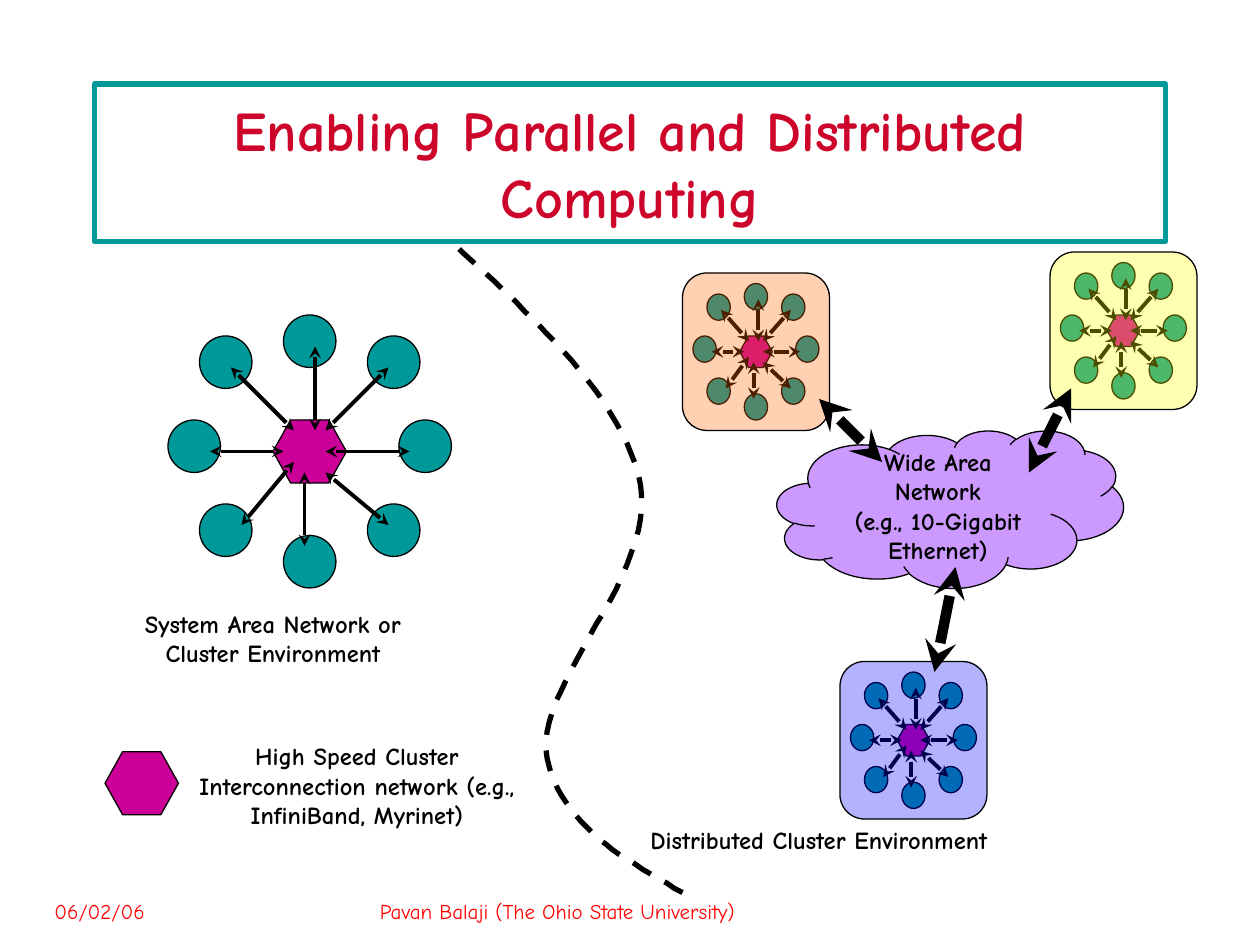
from pptx import Presentation
from pptx import util as u
from pptx.dml import color
from pptx.enum import dml, shapes, text
from pptx.oxml import ns, xmlchemy

PX = 7620
FONT = "Comic Neue"
INK = {"teal": "009999", "title": "CD052B", "foot": "FF0000", "black": "000000",
       "white": "FFFFFF", "hub": "CC0099", "cloud": "CC99FF",
       "orange": "FF6600", "yellow": "FFFF00", "blue": "0000FF"}
KIND = shapes.MSO_SHAPE
MID = text.PP_ALIGN.CENTER

NODES = [(30, 20), (110, 0), (190, 20), (220, 100), (190, 180),
         (0, 100), (30, 180), (110, 210)]
SPOKES = [(150, 110, 210, 50), (150, 130, 230, 130), (150, 150, 210, 200),
          (130, 150, 130, 220), (120, 140, 70, 200), (110, 130, 40, 130),
          (120, 110, 60, 50), (140, 110, 140, 30)]
SITES = [(660, 270, "orange"), (1010, 250, "yellow"), (810, 640, "blue")]
LINKS = [(910, 540, 890, 640), (780, 380, 840, 440), (1020, 370, 980, 450)]
CURVE = [(650, 850), (588, 815), (527, 779), (520, 714), (514, 649),
         (625, 544), (610, 462), (595, 382), (512, 306), (430, 230)]
LABELS = [((590, 780, 380, 68), "Distributed Cluster Environment"),
          ((160, 700, 360, 96), "High Speed Cluster Interconnection network "
                                "(e.g., InfiniBand, Myrinet)"),
          ((100, 574, 320, 68), "System Area Network or Cluster Environment")]
FEET = [((40, 850, 280, 40), "06/02/06"),
        ((350, 850, 500, 40), "Pavan Balaji (The Ohio State University)")]


def px(*nums):
    return [u.Emu(round(n * PX)) for n in nums]


def rgb(name):
    return color.RGBColor.from_string(INK[name])


def bend(pts, steps=24):
    for i in range(0, len(pts) - 1, 3):
        for k in range(1, steps + 1):
            t = k / steps
            parts = ((1 - t) ** 3, 3 * t * (1 - t) ** 2, 3 * t * t * (1 - t), t ** 3)
            yield tuple(sum(w * p[axis] for w, p in zip(parts, pts[i:i + 4]))
                        for axis in (0, 1))


class Board:
    """Holds the style and the current slide, and draws each kind of element."""

    def __init__(self, slide):
        self.slide = slide
        self.pen = slide.shapes

    def words(self, frame, lines, size, ink, bold=True, align=MID):
        frame.word_wrap = True
        for i, line in enumerate(lines):
            para = frame.paragraphs[0] if i == 0 else frame.add_paragraph()
            para.alignment = align
            run = para.add_run()
            run.text = line
            font = run.font
            font.name, font.size, font.bold = FONT, u.Pt(size), bold
            font.color.rgb = rgb(ink)

    def paint(self, item, ink):
        item.fill.solid()
        item.fill.fore_color.rgb = rgb(ink)

    def stroke(self, item, width, ink="black"):
        item.line.color.rgb = rgb(ink)
        item.line.width = u.Pt(width)

    def title(self, box, line):
        item = self.slide.shapes.title
        item.left, item.top, item.width, item.height = px(*box)
        self.paint(item, "white")
        self.stroke(item, 3, "teal")
        frame = item.text_frame
        frame.auto_size = text.MSO_AUTO_SIZE.NONE
        frame.vertical_anchor = text.MSO_ANCHOR.MIDDLE
        self.words(frame, [line], 32, "title")

    def label(self, box, line, size=14, ink="black", bold=True, align=MID):
        frame = self.pen.add_textbox(*px(*box)).text_frame
        self.words(frame, [line], size, ink, bold, align)

    def shape(self, kind, box, ink, alpha=None):
        item = self.pen.add_shape(kind, *px(*box))
        item.shadow.inherit = False
        self.paint(item, ink)
        self.stroke(item, 0.75)
        if alpha:
            mark = xmlchemy.OxmlElement("a:alpha")
            mark.set("val", str(alpha * 1000))
            item._element.spPr.find(".//" + ns.qn("a:srgbClr")).append(mark)
        return item

    def hub(self, box):
        self.shape(KIND.HEXAGON, box, "hub").adjustments[0] = 0.28

    def arrow(self, ends, width=2.25):
        item = self.pen.add_connector(shapes.MSO_CONNECTOR.STRAIGHT, *px(*ends))
        self.stroke(item, width)
        for tag in ("a:headEnd", "a:tailEnd"):
            tip = xmlchemy.OxmlElement(tag)
            tip.set("type", "stealth")
            item.get_or_add_ln().append(tip)
        item._element.spPr.append(xmlchemy.OxmlElement("a:effectLst"))

    def star(self, x, y, wide=1, high=1):
        def fit(a, b, c, d):
            return x + a * wide, y + b * high, c * wide, d * high

        self.pen = self.slide.shapes.add_group_shape().shapes
        self.hub(fit(100, 100, 70, 60))
        for left, top in NODES:
            self.shape(KIND.OVAL, fit(left, top, 50, 50), "teal")
        for a, b, c, d in SPOKES:
            self.arrow((x + a * wide, y + b * high, x + c * wide, y + d * high))
        self.pen = self.slide.shapes

    def site(self, x, y, ink):
        self.star(x, y, 4 / 9, 1 / 2)
        self.shape(KIND.ROUNDED_RECTANGLE, (x - 10, y - 10, 140, 150), ink, 30)

    def cloud(self, box, lines):
        frame = self.shape(KIND.CLOUD, box, "cloud").text_frame
        frame.margin_left, frame.margin_right = px(15, 15)
        frame.vertical_anchor = text.MSO_ANCHOR.MIDDLE
        self.words(frame, lines, 14, "black")

    def wave(self, pts):
        trail = self.pen.build_freeform(*pts[0], scale=PX)
        trail.add_line_segments(list(bend(pts)), close=False)
        item = trail.convert_to_shape()
        item.shadow.inherit = False
        item.fill.background()
        self.stroke(item, 3)
        item.line.dash_style = dml.MSO_LINE.DASH


def main():
    deck = Presentation()
    deck.slide_width, deck.slide_height = px(1200, 900)
    board = Board(deck.slides.add_slide(deck.slide_layouts[5]))
    board.title((90, 80, 1020, 150), "Enabling Parallel and Distributed Computing")
    for box, line in FEET:
        board.label(box, line, 12, "foot", False, text.PP_ALIGN.LEFT)
    for spot in SITES:
        board.site(*spot)
    board.cloud((740, 410, 330, 150),
                ["Wide Area Network", "(e.g., 10-Gigabit Ethernet)"])
    for ends in LINKS:
        board.arrow(ends, 6)
    board.wave(CURVE)
    board.star(160, 300)
    board.hub((100, 716, 70, 60))
    for box, line in LABELS:
        board.label(box, line)
    deck.save("out.pptx")


if __name__ == "__main__":
    main()
